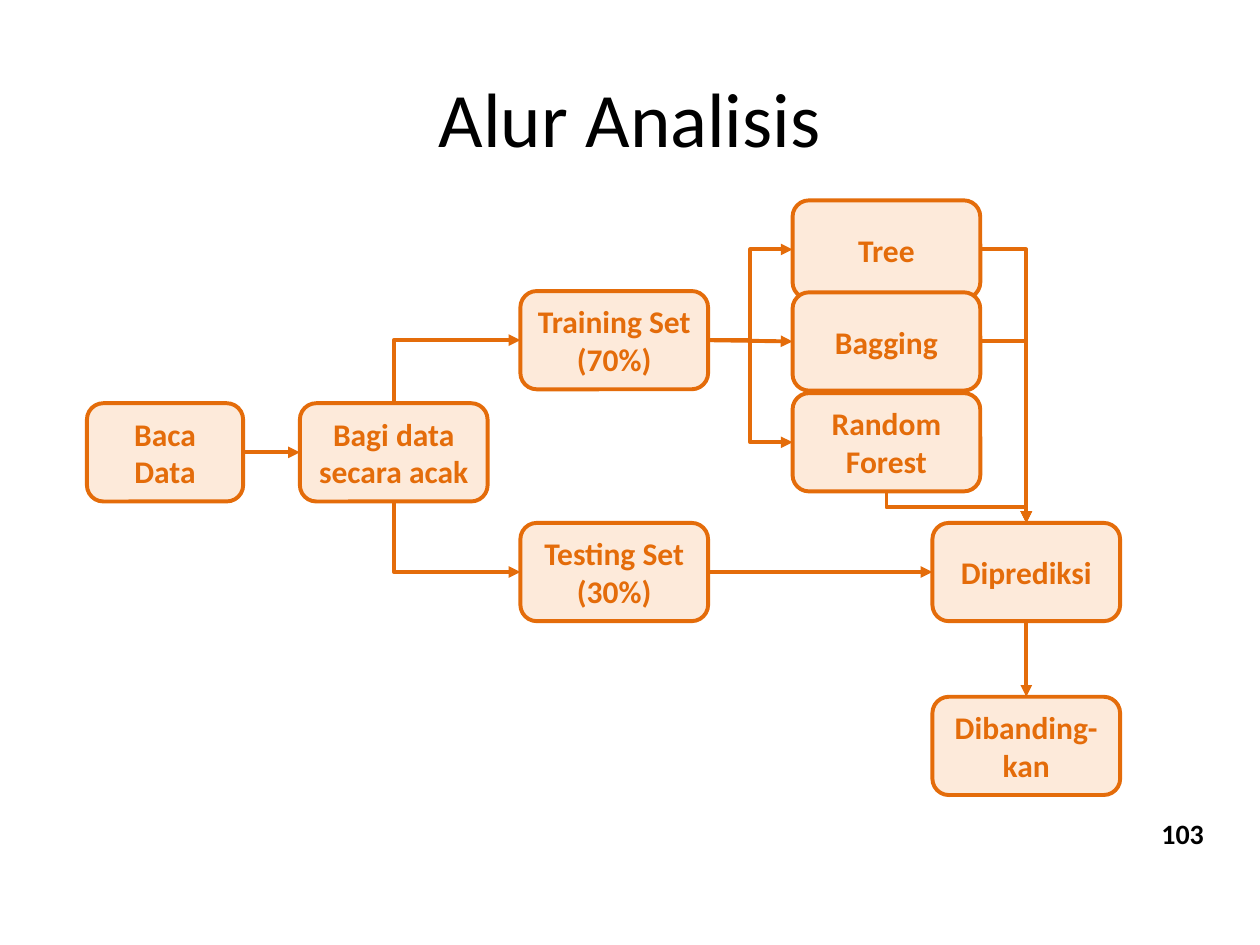
from lxml.etree import SubElement
from pptx import Presentation
from pptx.dml.color import RGBColor
from pptx.enum.shapes import MSO_CONNECTOR, MSO_SHAPE
from pptx.enum.text import MSO_ANCHOR, PP_ALIGN
from pptx.oxml.ns import qn
from pptx.util import Inches, Pt

TOP, LEFT, BOTTOM, RIGHT = range(4)  # connection sites of a box


def color(hex_value):
    return RGBColor.from_string(hex_value)


class FlowSlide:
    font = "Calibri"
    ink = "000000"
    accent = "E46C0A"
    tint = "FDEADA"
    line_width = Pt(2.25)
    box_width = 1.49
    box_height = 0.78

    def __init__(self, slide):
        self.shapes = slide.shapes

    def set_text(self, frame, text, size, hex_value, bold, align):
        frame.word_wrap = True
        frame.text = text
        paragraph = frame.paragraphs[0]
        paragraph.alignment = align
        font = paragraph.runs[0].font
        font.name, font.size, font.bold = self.font, Pt(size), bold
        font.color.rgb = color(hex_value)

    def label(self, text, left, top, width, height, size, bold=False,
              align=PP_ALIGN.LEFT, anchor=MSO_ANCHOR.TOP):
        label = self.shapes.add_textbox(*map(Inches, (left, top, width, height)))
        label.text_frame.vertical_anchor = anchor
        self.set_text(label.text_frame, text, size, self.ink, bold, align)

    def box(self, text, left, top, width=box_width):
        step = self.shapes.add_shape(
            MSO_SHAPE.ROUNDED_RECTANGLE,
            *map(Inches, (left, top, width, self.box_height)))
        step.shadow.inherit = False
        step.fill.solid()
        step.fill.fore_color.rgb = color(self.tint)
        step.line.color.rgb = color(self.accent)
        step.line.width = self.line_width
        step.text_frame.vertical_anchor = MSO_ANCHOR.MIDDLE
        self.set_text(step.text_frame, text, 18, self.accent, True, PP_ALIGN.CENTER)
        return step

    def arrow(self, source, source_side, target, target_side, bends=0):
        """Glue an arrow between two boxes, with 0, 1 or 2 right-angle bends."""
        kind = MSO_CONNECTOR.ELBOW if bends else MSO_CONNECTOR.STRAIGHT
        link = self.shapes.add_connector(kind, 0, 0, 0, 0)
        link.begin_connect(source, source_side)
        link.end_connect(target, target_side)
        link.line.color.rgb = color(self.accent)
        link.line.width = self.line_width
        properties = link._element.spPr
        SubElement(properties.find(qn("a:ln")), qn("a:tailEnd"), type="triangle")
        SubElement(properties, qn("a:effectLst"))
        if bends:
            properties.find(qn("a:prstGeom")).set("prst", f"bentConnector{bends + 1}")
            if source_side in (TOP, BOTTOM):
                self.turn(link, source_side)

    def turn(self, link, source_side):
        """Rotate an elbow so that its first leg is vertical."""
        center_x = (link.begin_x + link.end_x) // 2
        center_y = (link.begin_y + link.end_y) // 2
        link.width, link.height = link.height, link.width
        link.left = center_x - link.width // 2
        link.top = center_y - link.height // 2
        upward = source_side == TOP
        frame = link._element.spPr.find(qn("a:xfrm"))
        frame.set("rot", str((90 if upward else 270) * 60000))
        frame.set("flipH", "1")
        frame.set("flipV", "1" if upward else "0")


def main():
    deck = Presentation()
    deck.slide_width, deck.slide_height = Inches(10), Inches(7.5)
    flow = FlowSlide(deck.slides.add_slide(deck.slide_layouts[6]))

    flow.label("103", 9.12, 6.43, 0.76, 0.39, 16, bold=True)
    flow.label("Alur Analisis", 0.5, 0.3, 9, 1.25, 44,
               align=PP_ALIGN.CENTER, anchor=MSO_ANCHOR.MIDDLE)

    split_row, test_row = 3.2, 4.15
    set_column, model_column, result_column = 4.13, 6.29, 7.4
    read = flow.box("Baca Data", 0.69, split_row, 1.24)
    split = flow.box("Bagi data secara acak", 2.38, split_row)
    training = flow.box("Training Set (70%)", set_column, 2.31)
    testing = flow.box("Testing Set (30%)", set_column, test_row)
    tree = flow.box("Tree", model_column, 1.59)
    forest = flow.box("Random Forest", model_column, 3.12)
    bagging = flow.box("Bagging", model_column, 2.32)
    predict = flow.box("Diprediksi", result_column, test_row)
    compare = flow.box("Dibanding-kan", result_column, 5.53)

    flow.arrow(read, RIGHT, split, LEFT)
    flow.arrow(split, TOP, training, LEFT, bends=1)
    flow.arrow(split, BOTTOM, testing, LEFT, bends=1)
    for model, bends in ((tree, 2), (bagging, 0), (forest, 2)):
        flow.arrow(training, RIGHT, model, LEFT, bends)
    for model in (tree, bagging):
        flow.arrow(model, RIGHT, predict, TOP, bends=1)
    flow.arrow(forest, BOTTOM, predict, TOP, bends=2)
    flow.arrow(testing, RIGHT, predict, LEFT)
    flow.arrow(predict, BOTTOM, compare, TOP)

    deck.save("out.pptx")


if __name__ == "__main__":
    main()
